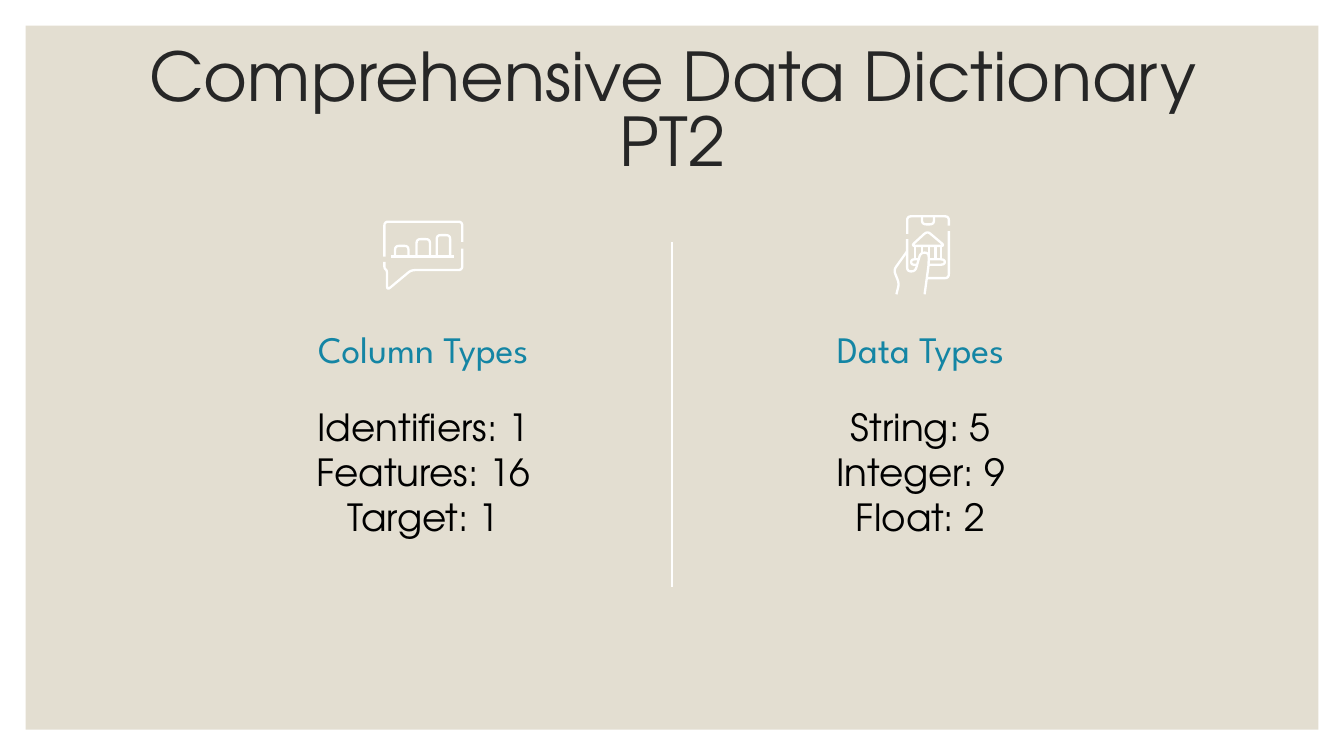
import math

import pptx
import pptx.dml.color
import pptx.enum.shapes
import pptx.enum.text
import pptx.oxml.ns
import pptx.util
from lxml import etree
from pptx.util import Inches

HEADING_FONT = "League Spartan"
BODY_FONT = "TeX Gyre Adventor"
WHITE = "FFFFFF"

COLUMNS = [
    (1.56, "Column Types", ["Identifiers: 1", "Features: 16", "Target: 1"]),
    (5.26, "Data Types", ["String: 5", "Integer: 9", "Float: 2"]),
]

# Icons: each holds outlines, and each outline holds one or more strokes
PHONE_TOP = [
    [(6.75, 1.74), (6.75, 1.61), (7.06, 1.61), (7.06, 1.68)],
    [(6.86, 1.61), (6.86, 1.67), (6.95, 1.67), (6.95, 1.61)],
]
PHONE_HAND_AND_BANK = [
    [(7.06, 1.72), (7.06, 2.07), (6.9, 2.07)],
    [(6.67, 2.19), (6.69, 2.11), (6.65, 2.01), (6.75, 1.87)],
    [(6.75, 1.78), (6.75, 2.02), (6.81, 2.02), (6.85, 1.88),
     (6.91, 1.88), (6.91, 1.97), (6.88, 2.19)],
    [(6.9, 1.83), (6.78, 1.83), (6.9, 1.72), (7.03, 1.83), (6.9, 1.83)],
    [(6.82, 1.97), (6.78, 1.97), (6.78, 1.93), (6.83, 1.93)],
    [(6.91, 1.93), (7.03, 1.93), (7.03, 1.97), (6.91, 1.97)],
] + [[(x, 1.83), (x, bottom)] for x, bottom in
     [(6.81, 1.93), (6.86, 1.88), (6.91, 1.93), (6.96, 1.93), (7, 1.93)]]
BARS = [[(2.91, 1.91), (3.38, 1.91)]] + [
    [(left, 1.91), (left, top), (left + 0.1, top), (left + 0.1, 1.91)]
    for left, top in [(2.94, 1.83), (3.1, 1.78), (3.25, 1.75)]]
BUBBLE_TOP = [[(2.86, 1.91), (2.86, 1.65), (3.44, 1.65), (3.44, 1.8)]]
BUBBLE_BOTTOM = [
    [(3.44, 1.85), (3.44, 2.01), (3.06, 2.01), (2.88, 2.16),
     (2.88, 2.01), (2.86, 2), (2.86, 1.95)],
]
ICONS = [
    [PHONE_TOP, PHONE_HAND_AND_BANK],
    [BARS, BUBBLE_TOP, BUBBLE_BOTTOM],
]


def color(hex_string):
    return pptx.dml.color.RGBColor.from_string(hex_string)


def add_text(slide, lines, left, top, width, height, *, font=BODY_FONT, size=20,
             text_color="000000", middle=False, line_spacing=None):
    box = slide.shapes.add_textbox(
        Inches(left), Inches(top), Inches(width), Inches(height))
    frame = box.text_frame
    frame.word_wrap = True
    frame.margin_left = frame.margin_right = Inches(0.1)
    frame.margin_top = frame.margin_bottom = Inches(0.1)
    anchor = pptx.enum.text.MSO_ANCHOR
    frame.vertical_anchor = anchor.MIDDLE if middle else anchor.TOP
    for index, line in enumerate(lines):
        paragraph = frame.add_paragraph() if index else frame.paragraphs[0]
        paragraph.alignment = pptx.enum.text.PP_ALIGN.CENTER
        paragraph.line_spacing = line_spacing
        run = paragraph.add_run()
        run.text = line
        run.font.name = font
        run.font.size = pptx.util.Pt(size)
        run.font.color.rgb = color(text_color)


def add_panel(slide, left, top, width, height, fill):
    panel = slide.shapes.add_shape(
        pptx.enum.shapes.MSO_SHAPE.RECTANGLE,
        Inches(left), Inches(top), Inches(width), Inches(height))
    panel.shadow.inherit = False
    panel.fill.solid()
    panel.fill.fore_color.rgb = color(fill)
    panel.line.fill.background()


def add_divider(slide, x, top, bottom):
    divider = slide.shapes.add_connector(
        pptx.enum.shapes.MSO_CONNECTOR.STRAIGHT,
        Inches(x), Inches(top), Inches(x), Inches(bottom))
    divider.line.color.rgb = color(WHITE)
    divider.line.width = pptx.util.Pt(0.75)
    etree.SubElement(divider._element.spPr, pptx.oxml.ns.qn("a:effectLst"))


def round_corners(points, radius=0.03, steps=4):
    """Replace each inner corner with a short quadratic curve."""
    rounded = [points[0]]
    for before, corner, after in zip(points, points[1:], points[2:]):
        ends = []
        for neighbour in (before, after):
            distance = math.dist(corner, neighbour)
            share = min(radius, distance / 2) / distance
            ends.append([c + (n - c) * share for c, n in zip(corner, neighbour)])
        for step in range(steps + 1):
            t = step / steps
            rounded.append(tuple(
                (1 - t) ** 2 * a + 2 * t * (1 - t) * c + t ** 2 * b
                for a, c, b in zip(ends[0], corner, ends[1])))
    return rounded + [points[-1]]


def add_outline(group, strokes):
    paths = [[(Inches(x), Inches(y)) for x, y in round_corners(stroke)]
             for stroke in strokes]
    builder = group.shapes.build_freeform(*paths[0][0])
    for index, path in enumerate(paths):
        if index:
            builder.move_to(*path[0])
        builder.add_line_segments(path[1:], close=False)
    outline = builder.convert_to_shape()
    outline.shadow.inherit = False
    outline.fill.background()
    outline.line.color.rgb = color(WHITE)
    outline.line.width = pptx.util.Pt(1.25)


def main():
    # Widescreen 16:9 slide
    presentation = pptx.Presentation()
    presentation.slide_width = Inches(10)
    presentation.slide_height = Inches(10) * 9 // 16
    slide = presentation.slides.add_slide(presentation.slide_layouts[6])

    # Background panel
    add_panel(slide, 0.19, 0.19, 9.62, 5.24, "E3DED1")

    # Two columns of counts
    for left, heading, counts in COLUMNS:
        add_text(slide, [heading], left, 2.33, 3.18, 0.53, font=HEADING_FONT,
                 text_color="1485A4", middle=True)
        add_text(slide, counts, left, 2.91, 3.18, 1.24)

    # Title
    add_text(slide, ["Comprehensive Data Dictionary PT2"], 0.79, 0.59, 8.43, 0.53,
             size=36, text_color="262626", middle=True, line_spacing=0.8)

    # Divider and icons
    add_divider(slide, 5, 1.8, 4.37)
    for icon in ICONS:
        group = slide.shapes.add_group_shape()
        for strokes in icon:
            add_outline(group, strokes)

    presentation.save("out.pptx")


if __name__ == "__main__":
    main()
